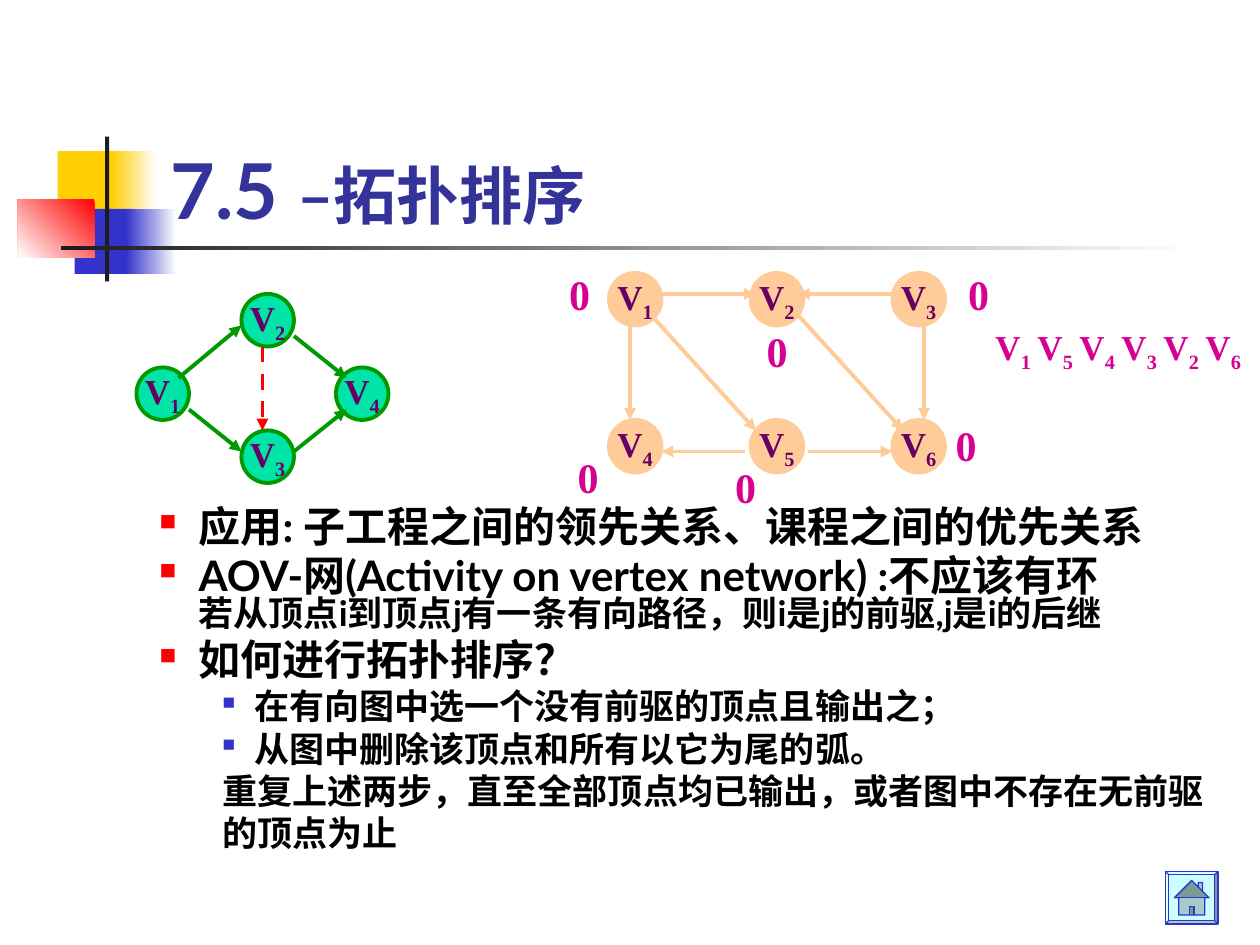
from dataclasses import dataclass
from lxml.etree import SubElement as Sub
from pptx import Presentation as Deck
from pptx.dml.color import RGBColor as Rgb
from pptx.enum.dml import MSO_LINE as Dash
from pptx.enum.shapes import MSO_CONNECTOR as Link, MSO_SHAPE as Kind
from pptx.enum.text import MSO_ANCHOR as Anchor, PP_ALIGN as Align
from pptx.oxml.ns import qn
from pptx.util import Cm, Pt

STEP = 25.4 / 120


def grid(*marks):
    return [Cm(mark * STEP) for mark in marks]


@dataclass(frozen=True)
class Theme:
    sans: str = "Lato"
    serif: str = "Times New Roman"
    title: int = 44
    head: int = 36
    large: int = 24
    small: int = 20
    edge: float = 2.25
    hair: float = 0.75
    white: str = "FFFFFF"
    black: str = "000000"
    dark: str = "1C1C1C"
    navy: str = "333399"
    blue: str = "3333CC"
    gold: str = "FFCF01"
    red: str = "FF0000"
    mint: str = "00E4A8"
    green: str = "009900"
    peach: str = "FFCC99"
    plum: str = "660066"
    pink: str = "D60093"
    ice: str = "CCFFFF"


def write(para, text, size, font, color, sub=False):
    run = para.add_run()
    run.text = text
    face = run.font
    face.size, face.name, face.bold = Pt(size), font, True
    face.color.rgb = Rgb.from_string(color)
    if sub:
        face._element.set("baseline", "-25000")


class Page:
    def __init__(self, slide, theme):
        self.shapes, self.theme = slide.shapes, theme

    def block(self, box, fill, fade=None, turn=180, kind=Kind.RECTANGLE,
              line=None, width=0):
        shape = self.shapes.add_shape(kind, *grid(*box))
        shape.shadow.inherit = False
        if fade:
            shape.fill.gradient()
            shape.fill.gradient_angle = turn
            for stop, color in zip(shape.fill.gradient_stops, (fill, fade)):
                stop.color.rgb = Rgb.from_string(color)
        else:
            shape.fill.solid()
            shape.fill.fore_color.rgb = Rgb.from_string(fill)
        if line:
            shape.line.color.rgb = Rgb.from_string(line)
            shape.line.width = Pt(width)
        else:
            shape.line.fill.background()
        return shape

    def label(self, box, inset=0, anchor=Anchor.TOP):
        frame = self.shapes.add_textbox(*grid(*box)).text_frame
        frame.word_wrap, frame.vertical_anchor = True, anchor
        frame.margin_left = frame.margin_right = Cm(inset)
        frame.margin_top = frame.margin_bottom = Cm(inset / 2)
        return frame

    def name(self, para, digit, color):
        style = self.theme
        para.alignment = Align.CENTER
        write(para, "V", style.small, style.serif, color)
        write(para, str(digit), style.small, style.serif, color, sub=True)

    def node(self, digit, x, y, fill, line):
        disc = self.block((x, y, 5, 5), fill, kind=Kind.OVAL, line=line,
                          width=self.theme.edge)
        frame = disc.text_frame
        frame.word_wrap, frame.vertical_anchor = False, Anchor.MIDDLE
        self.name(frame.paragraphs[0], digit, self.theme.plum)

    def arrow(self, ends, color, dash=None):
        link = self.shapes.add_connector(Link.STRAIGHT, *grid(*ends))
        link.line.color.rgb = Rgb.from_string(color)
        link.line.width = Pt(self.theme.edge)
        if dash:
            link.line.dash_style = dash
        Sub(link.line._get_or_add_ln(), qn("a:tailEnd"), type="triangle")
        Sub(link._element.spPr, qn("a:effectLst"))

    def zero(self, x, y):
        style = self.theme
        para = self.label((x, y, 3, 4.8)).paragraphs[0]
        write(para, "0", style.large, style.serif, style.pink)

    def item(self, para, parts, level, gap, mark=None):
        style = self.theme
        para.line_spacing, para.space_before = 0.8, Pt(gap)
        left, hang, share = ((2.06, 0.79, 55), (3.18, 0.64, 50))[level]
        props = para._p.get_or_add_pPr()
        props.set("marL", str(Cm(left)))
        props.set("indent", str(-Cm(hang)))
        if mark:
            Sub(Sub(props, qn("a:buClr")), qn("a:srgbClr"), val=mark)
            Sub(props, qn("a:buSzPct"), val=str(share * 1000))
            Sub(props, qn("a:buChar"), char="■")
        for spot, (text, size) in enumerate(parts):
            if spot:
                para.add_line_break()
            write(para, text, size, style.sans, style.black)


def main():
    deck = Deck()
    deck.slide_width, deck.slide_height = Cm(25.4), Cm(19.05)
    t = Theme()
    page = Page(deck.slides.add_slide(deck.slide_layouts[6]), t)

    page.block((5.5, 14.4, 5.8, 6.2), t.gold)
    page.block((10.6, 14.4, 4.3, 6.2), t.white, t.gold)
    page.block((7.1, 19.9, 5.5, 6.2), t.blue)
    page.block((12, 19.9, 4.8, 6.2), t.white, t.blue)
    page.block((1.7, 19, 7.3, 5.5), t.red, t.white, turn=225)
    page.block((10, 13, 0.4, 13.8), t.dark)
    page.block((5.8, 23.4, 108, 0.4), t.white, t.dark)

    title = page.label((15.1, 8, 102.2, 15), 0.25, Anchor.BOTTOM).paragraphs[0]
    write(title, "7.5 ", t.title, t.sans, t.navy)
    write(title, "–拓扑排序", t.head, t.sans, t.navy)

    items = [
        ([("应用: 子工程之间的领先关系、课程之间的优先关系", t.large)], 0, 6, t.red),
        ([("AOV-网(Activity on vertex network) :不应该有环", t.large),
          ("若从顶点i到顶点j有一条有向路径，则i是j的前驱,j是i的后继", t.small)],
         0, 5, t.red),
        ([("如何进行拓扑排序？", t.large)], 0, 6, t.red),
        ([("在有向图中选一个没有前驱的顶点且输出之；", t.small)], 1, 5, t.blue),
        ([("从图中删除该顶点和所有以它为尾的弧。", t.small)], 1, 5, t.blue),
        ([("重复上述两步，直至全部顶点均已输出，或者图中不存在无前驱", t.small)], 1, 5),
        ([("的顶点为止", t.small)], 1, 5),
    ]
    body = page.label((8, 48, 109.6, 37), 0.25)
    for spot, item in enumerate(items):
        page.item(body.add_paragraph() if spot else body.paragraphs[0], *item)

    bevel = page.block((111, 83, 5, 5), t.ice, kind=Kind.BEVEL,
                       line=t.blue, width=t.hair)
    bevel.adjustments[0] = 0.06
    page.block((111.3, 83.3, 4.4, 4.4), t.ice, kind=Kind.ACTION_BUTTON_HOME,
               line=t.blue, width=t.hair)

    for digit, x, y in ((2, 23, 28), (1, 13, 35), (3, 23, 41), (4, 32, 35)):
        page.node(digit, x, y, t.mint, t.green)
    for ends in ((17, 36, 23, 31), (18, 39, 23, 43),
                 (28, 32, 33, 36), (28, 43, 33, 39)):
        page.arrow(ends, t.green)
    page.arrow((25, 33, 25, 41), t.red, Dash.DASH)

    for ends in ((63, 28, 72, 28), (62, 30, 72, 41), (60, 31, 60, 40),
                 (77, 43, 85, 43), (71, 43, 63, 43), (88, 31, 88, 40),
                 (85, 28, 76, 28), (76, 30, 86, 41)):
        page.arrow(ends, t.peach)
    for spot in range(6):
        row, col = divmod(spot, 3)
        page.node(spot + 1, 58 + 13.5 * col, 26 + 14 * row, t.peach, t.peach)
    for x, y in ((54.2, 25.6), (92.2, 25.6), (70, 44),
                 (55, 43), (73, 31), (91, 40)):
        page.zero(x, y)
    for spot, digit in enumerate((1, 5, 4, 3, 2, 6)):
        frame = page.label((94 + 4 * spot, 31, 5, 4.6))
        page.name(frame.paragraphs[0], digit, t.pink)

    deck.save("out.pptx")


if __name__ == "__main__":
    main()
